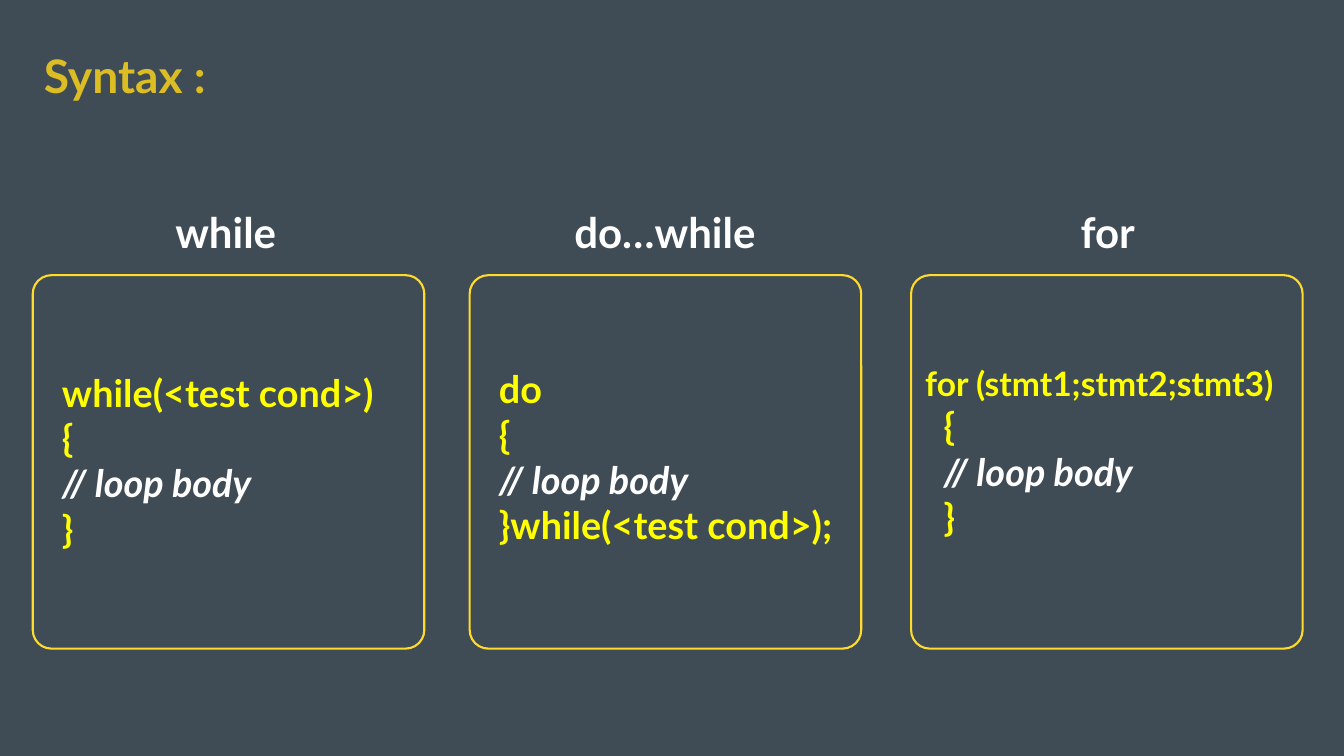
from dataclasses import dataclass

from pptx import Presentation
from pptx.dml.color import RGBColor
from pptx.enum.shapes import MSO_SHAPE
from pptx.enum.text import MSO_ANCHOR, PP_ALIGN
from pptx.util import Emu, Pt

PX = 9144  # EMU in one px, 100 px to the inch


@dataclass(frozen=True)
class Theme:
    font: str = "Lato"
    background: str = "404C55"
    title: str = "DCBD23"
    outline: str = "FFDB2C"
    code: str = "FFFF00"
    plain: str = "FFFFFF"
    title_size: int = 66
    heading_size: int = 60
    code_size: int = 54
    long_code_size: int = 48
    outline_width: int = 3


def px(*lengths):
    return [Emu(length * PX) for length in lengths]


class SlideBuilder:
    def __init__(self, page, theme):
        self.page = page
        self.theme = theme
        fill = page.background.fill
        fill.solid()
        fill.fore_color.rgb = RGBColor.from_string(theme.background)

    def text(self, bounds, lines, inset=0, wrap=True, anchor=MSO_ANCHOR.TOP, **para_format):
        """Each line is a list of (text, size, colour, italic) spans."""
        frame = self.page.shapes.add_textbox(*px(*bounds)).text_frame
        margin = Emu(inset * PX)
        frame_format = {
            "word_wrap": wrap, "vertical_anchor": anchor,
            "margin_left": margin, "margin_right": margin,
            "margin_top": margin, "margin_bottom": margin,
        }
        for name, value in frame_format.items():
            setattr(frame, name, value)
        for index, line in enumerate(lines):
            para = frame.add_paragraph() if index else frame.paragraphs[0]
            for name, value in para_format.items():
                setattr(para, name, value)
            for words, size, colour, italic in line:
                span = para.add_run()
                span.text = words
                font_format = {"name": self.theme.font, "size": Pt(size),
                               "bold": True, "italic": italic}
                for name, value in font_format.items():
                    setattr(span.font, name, value)
                span.font.color.rgb = RGBColor.from_string(colour)

    def title(self, bounds, words):
        span = (words, self.theme.title_size, self.theme.title, False)
        self.text(bounds, [[span]], anchor=MSO_ANCHOR.MIDDLE, line_spacing=0.8)

    def heading(self, centre, top, width, words):
        span = (words, self.theme.heading_size, self.theme.plain, False)
        self.text((centre - width // 2, top, width, 111), [[span]], inset=5,
                  wrap=False, alignment=PP_ALIGN.CENTER)

    def card(self, bounds):
        box = self.page.shapes.add_shape(MSO_SHAPE.ROUNDED_RECTANGLE, *px(*bounds))
        box.adjustments[0] = 0.05
        box.shadow.inherit = False
        box.fill.background()
        box.line.color.rgb = RGBColor.from_string(self.theme.outline)
        box.line.width = Pt(self.theme.outline_width)

    def code(self, bounds, first, last, indent="", first_size=None):
        """A loop: its opening line, a brace, the body comment, its closing line."""
        size, colour = self.theme.code_size, self.theme.code
        self.text(bounds, [
            [(first, first_size or size, colour, False)],
            [(indent + "{", size, colour, False)],
            [(indent, size, colour, False)] * bool(indent)
            + [("// loop body", size, self.theme.plain, True)],
            [(indent + last, size, colour, False)],
        ], inset=8)


def main():
    theme = Theme()
    deck = Presentation()
    deck.slide_width, deck.slide_height = px(2667, 1500)
    builder = SlideBuilder(deck.slides.add_slide(deck.slide_layouts[6]), theme)
    builder.title((87, 115, 2196, 89), "Syntax :")

    # card left, heading (centre, top, width, words), code bounds, code lines
    loops = [
        (65, (448, 405, 230, "while"), (115, 725, 795, 376),
         {"first": "while(<test cond>)", "last": "}"}),
        (932, (1319, 404, 417, "do…while"), (982, 718, 795, 376),
         {"first": "do", "last": "}while(<test cond>);"}),
        (1808, (2198, 404, 132, "for"), (1828, 712, 756, 366),
         {"first": "for (stmt1;stmt2;stmt3)", "last": "}", "indent": "  ",
          "first_size": theme.long_code_size}),
    ]
    for card_left, heading, code_bounds, code_lines in loops:
        builder.card((card_left, 546, 777, 741))
        builder.code(code_bounds, **code_lines)
        builder.heading(*heading)
    deck.save("out.pptx")


if __name__ == "__main__":
    main()
